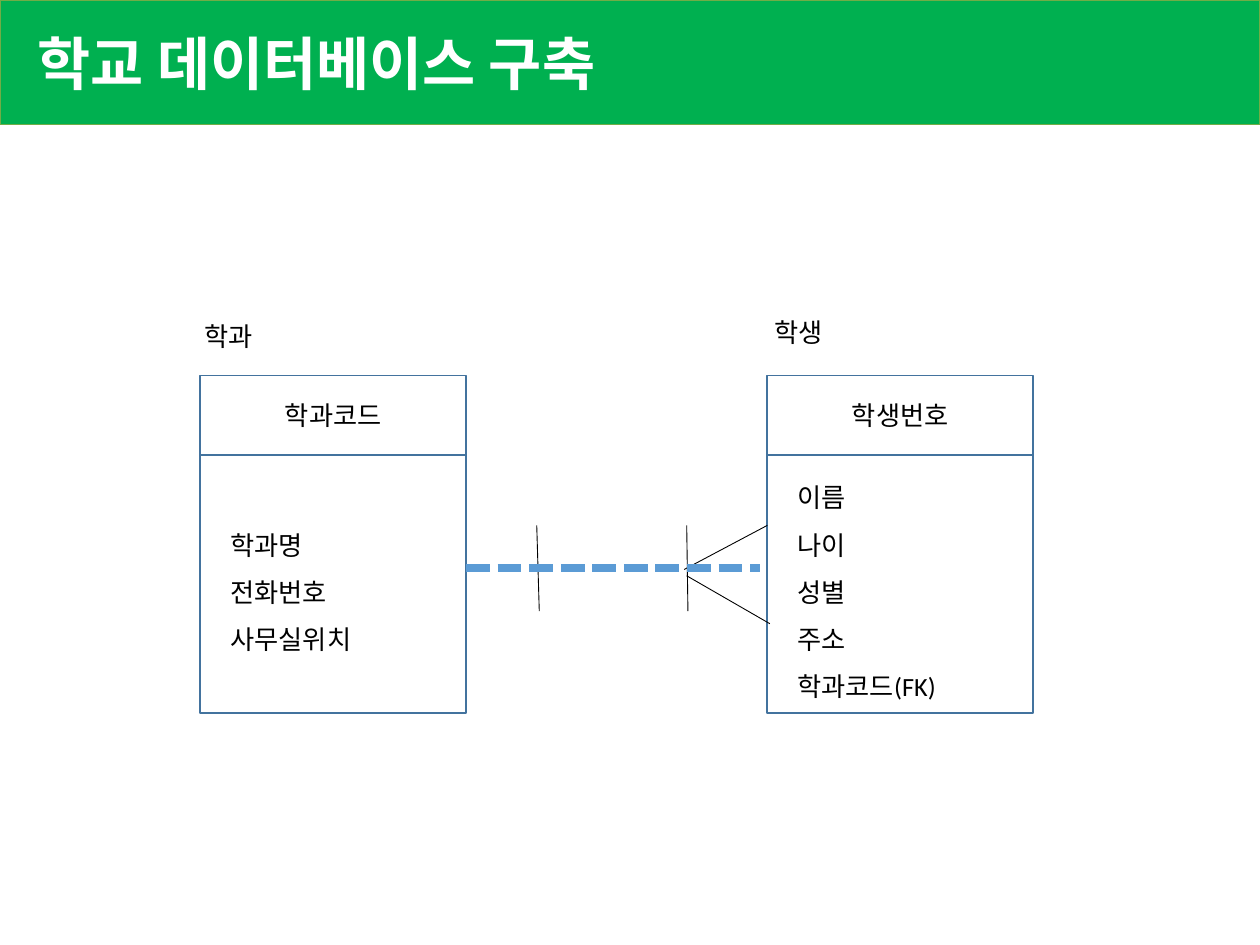
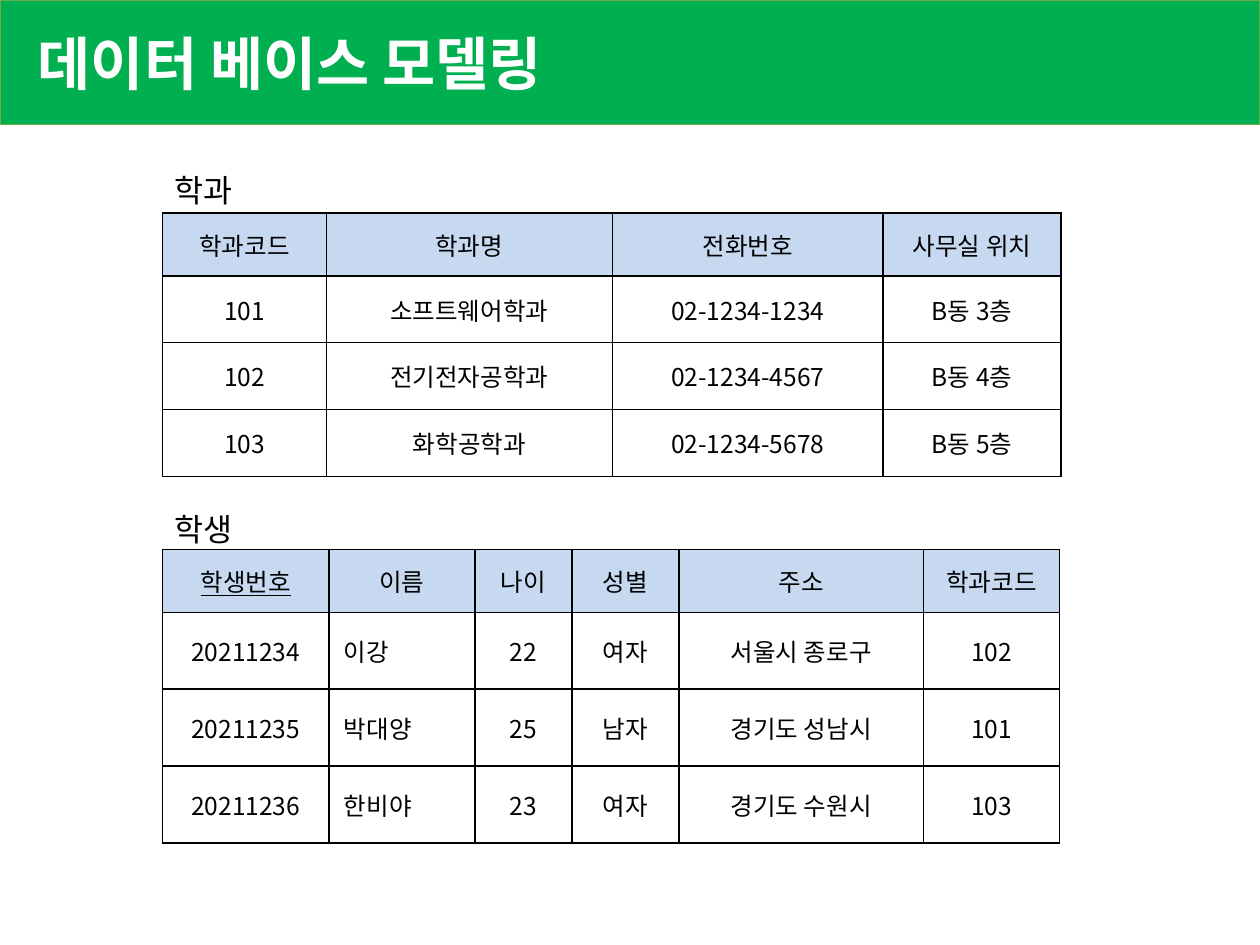
"""Builds two slides on a school database: its entity diagram and its tables."""
from lxml import etree
from pptx import Presentation
from pptx.dml.color import RGBColor
from pptx.enum.dml import MSO_LINE
from pptx.enum.shapes import MSO_CONNECTOR, MSO_SHAPE
from pptx.enum.text import MSO_ANCHOR, MSO_AUTO_SIZE, PP_ALIGN
from pptx.oxml.ns import qn
from pptx.util import Inches, Pt

DIAGRAM_TITLE = "학교 데이터베이스 구축"
ENTITIES = [
    {"name": "학과", "key": "학과코드", "left": 1.59, "name_at": (0.76, 2.35),
     "attributes": ["학과명", "전화번호", "사무실위치"]},
    {"name": "학생", "key": "학생번호", "left": 6.09, "name_at": (5.28, 2.32),
     "attributes": ["이름", "나이", "성별", "주소", "학과코드(FK)"]},
]
CARDINALITY_MARKS = [
    ((4.26, 4.17), (4.28, 4.85)),
    ((6.09, 4.17), (5.43, 4.52)),
    ((5.45, 4.57), (6.11, 4.95)),
    ((5.45, 4.17), (5.46, 4.85)),
]
RELATIONSHIP = ((3.7, 4.51), (6.03, 4.51))

MODEL_TITLE = "데이터 베이스 모델링"
TABLES = [
    {"name": "학과", "name_top": 1.31, "top": 1.69, "row_height": 0.53,
     "widths": [1.3, 2.27, 2.15, 1.41],
     "rows": [
         ["학과코드", "학과명", "전화번호", "사무실 위치"],
         ["101", "소프트웨어학과", "02-1234-1234", "B동 3층"],
         ["102", "전기전자공학과", "02-1234-4567", "B동 4층"],
         ["103", "화학공학과", "02-1234-5678", "B동 5층"],
     ]},
    {"name": "학생", "name_top": 4, "top": 4.36, "row_height": 0.61,
     "widths": [1.32, 1.16, 0.77, 0.85, 1.94, 1.08],
     "underlined": "학생번호", "left_aligned": "이름",
     "rows": [
         ["학생번호", "이름", "나이", "성별", "주소", "학과코드"],
         ["20211234", "이강", "22", "여자", "서울시 종로구", "102"],
         ["20211235", "박대양", "25", "남자", "경기도 성남시", "101"],
         ["20211236", "한비야", "23", "여자", "경기도 수원시", "103"],
     ]},
]

WHITE = RGBColor(0xFF, 0xFF, 0xFF)
BLACK = RGBColor(0x00, 0x00, 0x00)
BAND_GREEN = RGBColor(0x00, 0xB0, 0x50)
BAND_EDGE = RGBColor(0x70, 0xAD, 0x47)
ENTITY_EDGE = RGBColor(0x43, 0x73, 0x9E)
LINK_BLUE = RGBColor(0x5B, 0x9B, 0xD5)
HEADER_BLUE = RGBColor(0xC6, 0xD9, 0xF1)

LATIN = "Calibri"
KOREAN = "Noto Sans CJK KR"
LEFT, CENTER = PP_ALIGN.LEFT, PP_ALIGN.CENTER
MIDDLE = MSO_ANCHOR.MIDDLE
RECTANGLE = MSO_SHAPE.RECTANGLE
STRAIGHT = MSO_CONNECTOR.STRAIGHT
SQUARE_DASH = MSO_LINE.SQUARE_DOT
NO_AUTOFIT = MSO_AUTO_SIZE.NONE

TITLE_ONLY = 5
INSET_X, INSET_Y = 0.07, 0.04
ENTITY_WIDTH, KEY_TOP, KEY_HEIGHT, ATTRIBUTES_HEIGHT = 2.11, 2.98, 0.63, 2.05
TABLE_LEFT, HEADER_HEIGHT = 1.29, 0.5


def set_insets(target, left=INSET_X):
    target.margin_left = Inches(left)
    target.margin_right = Inches(INSET_X)
    target.margin_top = target.margin_bottom = Inches(INSET_Y)
    target.vertical_anchor = MIDDLE


def write(frame, lines, size, font=LATIN, color=BLACK, align=LEFT, bold=False, spacing=None):
    frame.text = "\n".join(lines)
    for paragraph in frame.paragraphs:
        paragraph.alignment = align
        paragraph.line_spacing = spacing
        paragraph.font.size = Pt(size)
        paragraph.font.name = font
        paragraph.font.bold = bold
        paragraph.font.color.rgb = color


def add_titled_slide(deck, title):
    slide = deck.slides.add_slide(deck.slide_layouts[TITLE_ONLY])
    band = slide.shapes.title
    band.left, band.top, band.width, band.height = 0, 0, deck.slide_width, Inches(0.99)
    band.fill.solid()
    band.fill.fore_color.rgb = BAND_GREEN
    band.line.color.rgb = BAND_EDGE
    band.line.width = Pt(0.75)
    band.text_frame.auto_size = NO_AUTOFIT
    set_insets(band.text_frame, 0.3)
    write(band.text_frame, [title], 33, KOREAN, WHITE, bold=True)
    return slide


def add_entity_part(slide, left, top, height, lines, inset=INSET_X, **style):
    part = slide.shapes.add_shape(
        RECTANGLE, Inches(left), Inches(top), Inches(ENTITY_WIDTH), Inches(height))
    part.shadow.inherit = False
    part.fill.background()
    part.line.color.rgb = ENTITY_EDGE
    part.line.width = Pt(1)
    set_insets(part.text_frame, inset)
    write(part.text_frame, lines, 15, **style)


def add_label(slide, left, top, width, height):
    frame = slide.shapes.add_textbox(
        Inches(left), Inches(top), Inches(width), Inches(height)).text_frame
    frame.word_wrap = True
    return frame


def add_entity(slide, entity):
    left = entity["left"]
    add_entity_part(slide, left, KEY_TOP, KEY_HEIGHT, [entity["key"]], align=CENTER)
    add_entity_part(slide, left, KEY_TOP + KEY_HEIGHT, ATTRIBUTES_HEIGHT,
                    entity["attributes"], inset=0.24, spacing=1.5)
    name = add_label(slide, *entity["name_at"], ENTITY_WIDTH, KEY_HEIGHT)
    set_insets(name)
    write(name, [entity["name"]], 15, align=CENTER)


def add_line(slide, start, end, color, width):
    connector = slide.shapes.add_connector(STRAIGHT, *map(Inches, start + end))
    connector.line.color.rgb = color
    connector.line.width = Pt(width)
    etree.SubElement(connector._element.spPr, qn("a:effectLst"))
    return connector


def add_borders(cell):
    properties = cell._tc.get_or_add_tcPr()
    for side in ("a:lnL", "a:lnR", "a:lnT", "a:lnB"):
        border = etree.SubElement(properties, qn(side), w=str(Pt(1)))
        fill = etree.SubElement(border, qn("a:solidFill"))
        etree.SubElement(fill, qn("a:srgbClr"), val=str(BLACK))


def add_records(slide, records):
    rows, widths = records["rows"], records["widths"]
    heights = [HEADER_HEIGHT] + [records["row_height"]] * (len(rows) - 1)
    table = slide.shapes.add_table(
        len(rows), len(widths), Inches(TABLE_LEFT), Inches(records["top"]),
        Inches(sum(widths)), Inches(sum(heights))).table
    table.first_row = table.horz_banding = False
    for column, width in zip(table.columns, widths):
        column.width = Inches(width)
    for r, (row, height) in enumerate(zip(rows, heights)):
        table.rows[r].height = Inches(height)
        for c, value in enumerate(row):
            cell = table.cell(r, c)
            add_borders(cell)
            is_name = r > 0 and rows[0][c] == records.get("left_aligned")
            set_insets(cell, 0.12 if is_name else INSET_X)
            write(cell.text_frame, [value], 14, KOREAN, align=LEFT if is_name else CENTER)
            if r == 0:
                cell.fill.solid()
                cell.fill.fore_color.rgb = HEADER_BLUE
            else:
                cell.fill.background()
            if value == records.get("underlined"):
                cell.text_frame.paragraphs[0].font.underline = True
    name = add_label(slide, TABLE_LEFT, records["name_top"], 1.26, 0.4)
    write(name, [records["name"]], 18)


def main():
    deck = Presentation()
    deck.slide_width, deck.slide_height = Inches(10), Inches(7.5)

    diagram = add_titled_slide(deck, DIAGRAM_TITLE)
    for entity in ENTITIES:
        add_entity(diagram, entity)
    for start, end in CARDINALITY_MARKS:
        add_line(diagram, start, end, BLACK, 0.5)
    add_line(diagram, *RELATIONSHIP, LINK_BLUE, 4.5).line.dash_style = SQUARE_DASH

    model = add_titled_slide(deck, MODEL_TITLE)
    for records in TABLES:
        add_records(model, records)

    deck.save("out.pptx")


if __name__ == "__main__":
    main()
